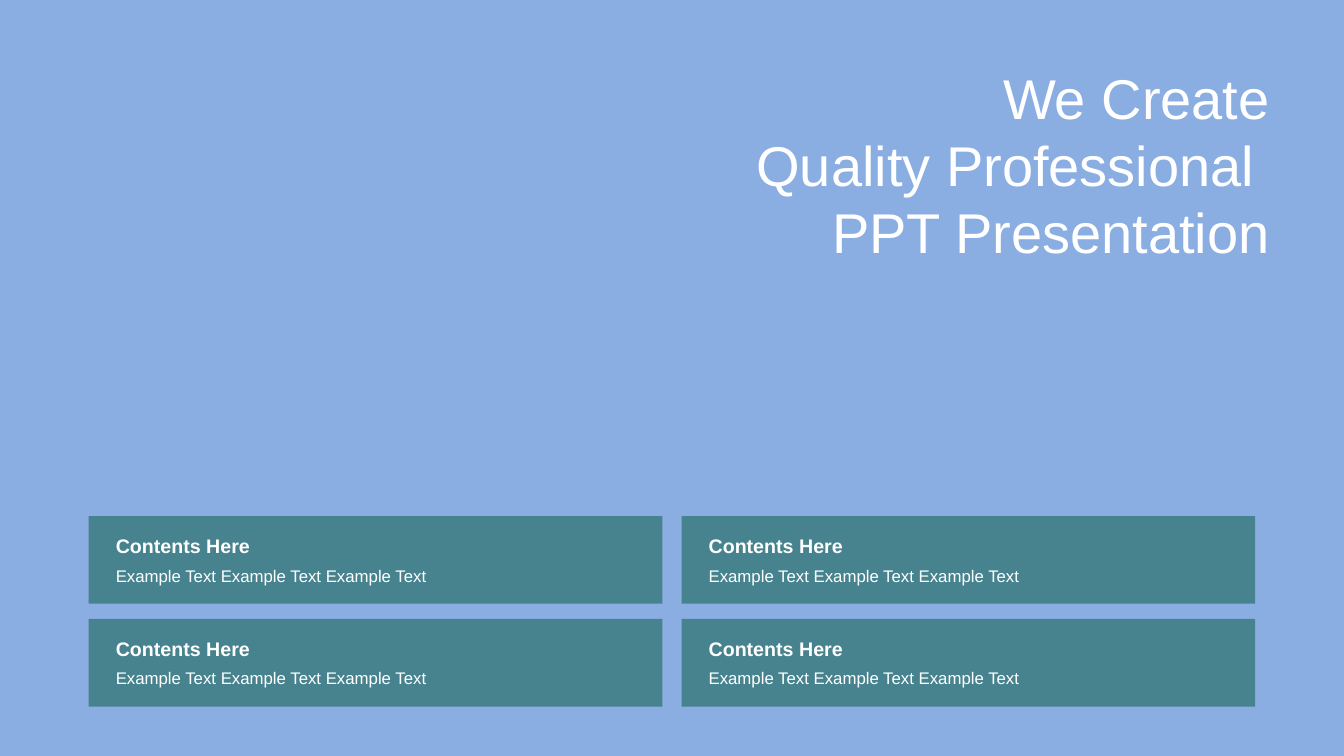
from dataclasses import dataclass

from lxml import etree
from pptx import Presentation
from pptx.dml.color import RGBColor
from pptx.enum.shapes import MSO_SHAPE
from pptx.enum.text import MSO_ANCHOR, MSO_AUTO_SIZE, PP_ALIGN
from pptx.oxml.ns import qn
from pptx.shapes.autoshape import Shape
from pptx.shapes.shapetree import GroupShapes, SlideShapes
from pptx.util import Emu, Pt

RECTANGLE = MSO_SHAPE.RECTANGLE
TOP, MIDDLE = MSO_ANCHOR.TOP, MSO_ANCHOR.MIDDLE
LEFT, RIGHT = PP_ALIGN.LEFT, PP_ALIGN.RIGHT
FIT_SHAPE = MSO_AUTO_SIZE.SHAPE_TO_FIT_TEXT

SKY = RGBColor(0x8A, 0xAE, 0xE2)
TEAL = RGBColor(0x2B, 0x71, 0x6B)
WHITE = RGBColor(0xFF, 0xFF, 0xFF)
PANEL_OPACITY = 70
FONT = "Arial"

EMU_PER_PX = 9144  # 100 px to the inch
SLIDE_WIDTH, SLIDE_HEIGHT = 1333, 750
PANEL_LEFT, PANEL_TOP = 88, 512
PANEL_WIDTH, PANEL_HEIGHT = 569, 87
COLUMN_PITCH, ROW_PITCH = 588, 102
COLUMNS, ROWS = 2, 2


@dataclass(frozen=True)
class Label:
    """A text with its place, measured from the slide or from its panel."""
    text: str
    left: int
    top: int
    width: int
    height: int
    size: int
    bold: bool = False
    align: PP_ALIGN = LEFT
    anchor: MSO_ANCHOR = TOP


TITLE = Label("We Create\nQuality Professional \nPPT Presentation",
              677, 57, 592, 212, 40, align=RIGHT, anchor=MIDDLE)
PANEL_LABELS = (
    Label("Contents Here", 17, 13, 530, 34, 14, bold=True),
    Label("Example Text Example Text Example Text", 17, 44, 530, 30, 12),
)


def px(length: int) -> Emu:
    return Emu(length * EMU_PER_PX)


def set_opacity(shape: Shape, percent: int) -> None:
    color = shape.fill._xPr.find(qn("a:solidFill"))[0]
    etree.SubElement(color, qn("a:alpha"), val=str(percent * 1000))


def add_label(shapes: SlideShapes | GroupShapes, label: Label,
              left: int = 0, top: int = 0) -> None:
    box = shapes.add_textbox(px(left + label.left), px(top + label.top),
                             px(label.width), px(label.height))
    frame = box.text_frame
    frame.text = label.text
    frame.word_wrap = True
    frame.auto_size = FIT_SHAPE
    frame.vertical_anchor = label.anchor
    for paragraph in frame.paragraphs:
        paragraph.alignment = label.align
        for run in paragraph.runs:
            run.font.name = FONT
            run.font.size = Pt(label.size)
            run.font.bold = label.bold
            run.font.color.rgb = WHITE


def add_panel(shapes: SlideShapes, left: int, top: int) -> None:
    panel = shapes.add_shape(RECTANGLE, px(left), px(top),
                             px(PANEL_WIDTH), px(PANEL_HEIGHT))
    panel.shadow.inherit = False
    panel.fill.solid()
    panel.fill.fore_color.rgb = TEAL
    set_opacity(panel, PANEL_OPACITY)
    panel.line.fill.background()
    panel_text = shapes.add_group_shape()
    for label in PANEL_LABELS:
        add_label(panel_text.shapes, label, left, top)


def main() -> None:
    presentation = Presentation()
    presentation.slide_width = px(SLIDE_WIDTH)
    presentation.slide_height = px(SLIDE_HEIGHT)
    slide = presentation.slides.add_slide(presentation.slide_layouts[6])
    slide.background.fill.solid()
    slide.background.fill.fore_color.rgb = SKY

    add_label(slide.shapes, TITLE)
    for column in range(COLUMNS):
        for row in reversed(range(ROWS)):
            add_panel(slide.shapes, PANEL_LEFT + column * COLUMN_PITCH,
                      PANEL_TOP + row * ROW_PITCH)
    presentation.save("out.pptx")


if __name__ == "__main__":
    main()
